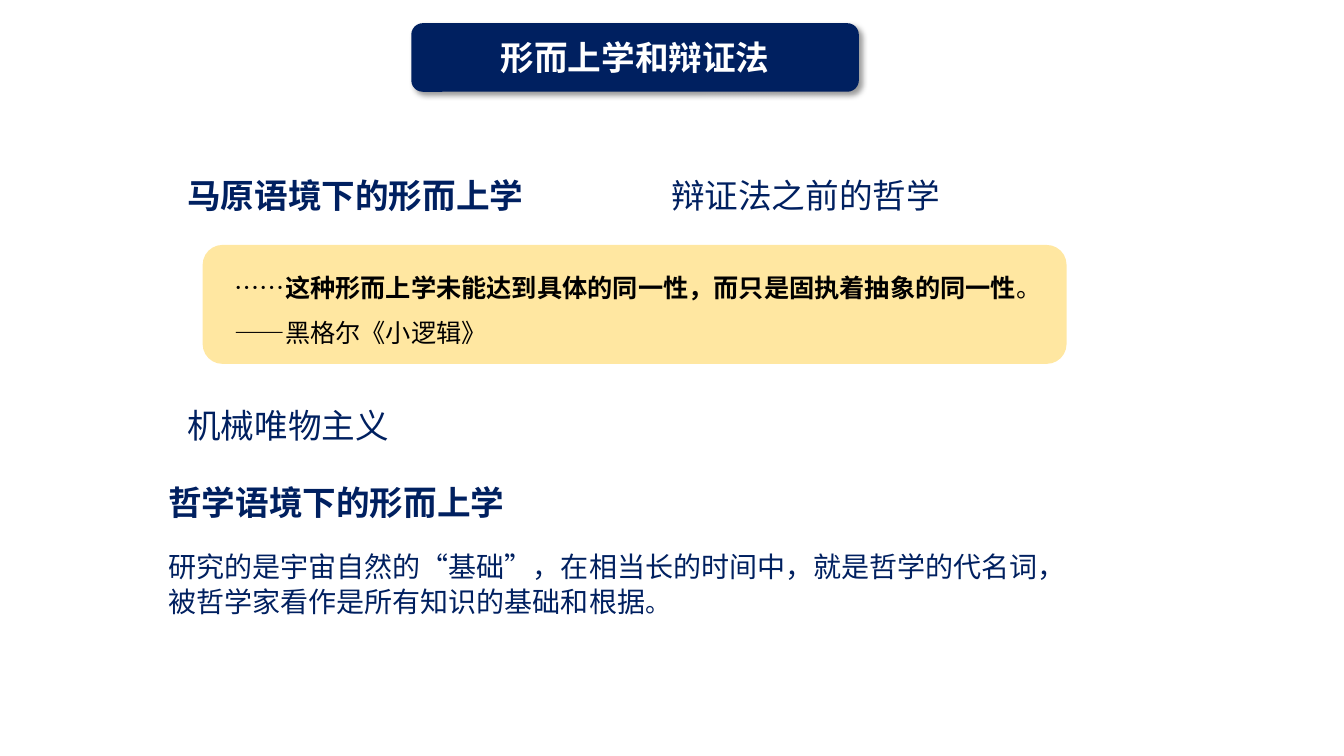
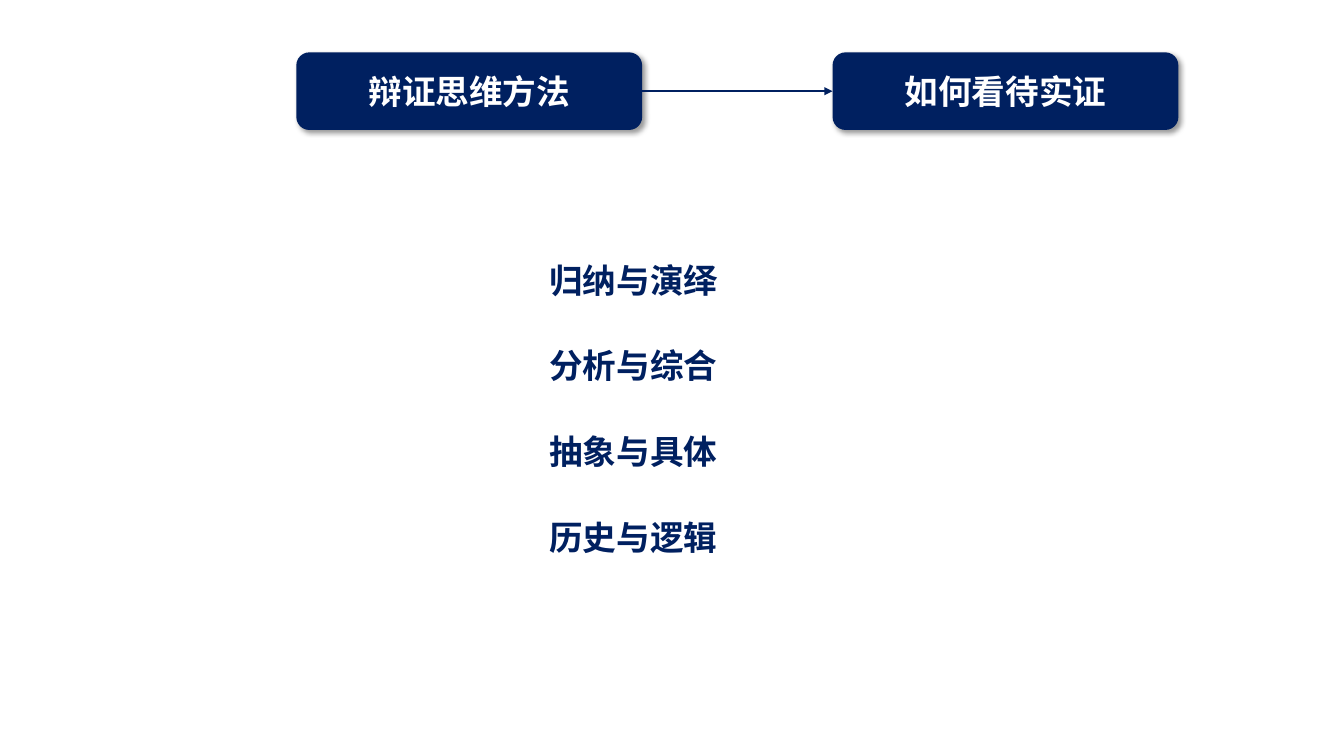
from dataclasses import dataclass
from typing import NamedTuple

from lxml import etree
from pptx import Presentation
from pptx.dml.color import RGBColor
from pptx.enum.lang import MSO_LANGUAGE_ID
from pptx.enum.shapes import MSO_CONNECTOR, MSO_SHAPE
from pptx.enum.text import MSO_ANCHOR, MSO_AUTO_SIZE, PP_ALIGN
from pptx.oxml.ns import qn
from pptx.util import Inches, Length, Pt

ROUNDED = MSO_SHAPE.ROUNDED_RECTANGLE
STRAIGHT = MSO_CONNECTOR.STRAIGHT
TOP, MIDDLE = MSO_ANCHOR.TOP, MSO_ANCHOR.MIDDLE
LEFT, CENTER, JUSTIFY = PP_ALIGN.LEFT, PP_ALIGN.CENTER, PP_ALIGN.JUSTIFY
CHINESE = MSO_LANGUAGE_ID.SIMPLIFIED_CHINESE
SIDE_LEFT, SIDE_RIGHT = 1, 3
TITLE_ONLY = 5
WIDTH, HEIGHT = Inches(13.33), Inches(7.5)


@dataclass(frozen=True)
class Theme:
    navy: RGBColor = RGBColor(0x00, 0x20, 0x60)
    amber: RGBColor = RGBColor(0xFF, 0xC0, 0x00)
    white: RGBColor = RGBColor(0xFF, 0xFF, 0xFF)
    black: RGBColor = RGBColor(0x00, 0x00, 0x00)
    cjk: str = "Noto Sans CJK SC"
    latin: str = "Arial"
    heading: int = 24
    body: int = 20
    quote: int = 18


T = Theme()


class Box(NamedTuple):
    """Left, top, width and height in percent of the slide."""
    x: float
    y: float
    w: float
    h: float

    def emu(self) -> tuple[int, ...]:
        sides = (WIDTH, HEIGHT, WIDTH, HEIGHT)
        return tuple(round(side * share / 100) for side, share in zip(sides, self))


class Run(NamedTuple):
    text: str
    size: int = T.heading
    bold: bool = False
    color: RGBColor = T.navy
    font: str = T.cjk


@dataclass(frozen=True)
class Para:
    """One paragraph and the way its frame is set."""
    runs: tuple[Run, ...]
    align: PP_ALIGN = LEFT
    spacing: float | Length = 1.0
    anchor: MSO_ANCHOR = TOP
    wrap: bool = True
    inset: tuple[float, float] = (0.1, 0.05)


def write(sp, para: Para) -> None:
    tf = sp.text_frame
    tf.auto_size = MSO_AUTO_SIZE.NONE
    tf.word_wrap = para.wrap
    tf.vertical_anchor = para.anchor
    tf.margin_left = tf.margin_right = Inches(para.inset[0])
    tf.margin_top = tf.margin_bottom = Inches(para.inset[1])
    p = tf.paragraphs[0]
    p.alignment, p.line_spacing = para.align, para.spacing
    for run in para.runs:
        r = p.add_run()
        r.text = run.text
        font = r.font
        font.name, font.size, font.bold = run.font, Pt(run.size), run.bold
        font.color.rgb = run.color
        font.language_id = CHINESE
        ea = etree.Element(qn("a:ea"), typeface=T.cjk)
        font._element.find(qn("a:latin")).addnext(ea)


def add_text(shapes, box: Box, para: Para) -> None:
    write(shapes.add_textbox(*box.emu()), para)


def add_panel(shapes, box: Box, color: RGBColor, opacity: int = 100):
    sp = shapes.add_shape(ROUNDED, *box.emu())
    sp.shadow.inherit = False
    sp.fill.solid()
    sp.fill.fore_color.rgb = color
    sp.line.fill.background()
    if opacity < 100:
        clr = sp._element.spPr.find(".//" + qn("a:srgbClr"))
        etree.SubElement(clr, qn("a:alpha"), val=str(opacity * 1000))
    return sp


def add_banner(s, box: Box, text: str, is_title: bool = False):
    """Navy plate with a soft shadow; the title placeholder may lie on it."""
    sp = add_panel(s.shapes, box, T.navy)
    effects = sp._element.spPr.find(qn("a:effectLst"))
    shadow = etree.SubElement(effects, qn("a:outerShdw"), blurRad=str(Pt(4)),
                              dist=str(Pt(3)), dir=str(45 * 60000),
                              algn="tl", rotWithShape="0")
    clr = etree.SubElement(shadow, qn("a:srgbClr"), val=str(T.black))
    etree.SubElement(clr, qn("a:alpha"), val="40000")
    holder = sp
    if is_title:
        holder = s.shapes.title
        holder.left, holder.top, holder.width, holder.height = box.emu()
        sp._element.addnext(holder._element)
    write(holder, Para((Run(text, bold=True, color=T.white),), CENTER, anchor=MIDDLE))
    return sp


def add_arrow(s, start, end) -> None:
    line = s.shapes.add_connector(STRAIGHT, 0, 0, 0, 0)
    line.begin_connect(start, SIDE_RIGHT)
    line.end_connect(end, SIDE_LEFT)
    line.line.color.rgb = T.navy
    line.line.width = Pt(1.5)
    etree.SubElement(line.line._get_or_add_ln(), qn("a:tailEnd"), type="triangle")
    etree.SubElement(line._element.spPr, qn("a:effectLst"))


def metaphysics_slide(prs) -> None:
    s = prs.slides.add_slide(prs.slide_layouts[TITLE_ONLY])
    add_banner(s, Box(30.6, 3.07, 33.3, 9.07), "形而上学和辩证法", is_title=True)

    # Headings and short statements
    statements = (
        (Box(13.2, 21.47, 26.78, 7.2), "马原语境下的形而上学", True),
        (Box(49.2, 21.47, 21.68, 7.2), "辩证法之前的哲学", False),
        (Box(13.2, 51.87, 16.65, 7.2), "机械唯物主义", False),
        (Box(11.78, 62, 26.78, 7.2), "哲学语境下的形而上学", True),
    )
    for box, text, bold in statements:
        run = Run(text, bold=bold, font=T.latin)
        add_text(s.shapes, box, Para((run,), JUSTIFY, 1.2, wrap=False))

    # Quotation on its tinted panel
    quote = s.shapes.add_group_shape().shapes
    add_panel(quote, Box(15.08, 32.4, 64.28, 15.73), T.amber, opacity=37)
    parts = (
        ("……", False),
        ("这种形而上学未能达到具体的同一性，而只是固执着抽象的同一性", True),
        ("。——黑格尔《小逻辑》", False),
    )
    runs = tuple(Run(text, T.quote, bold, T.black) for text, bold in parts)
    add_text(quote, Box(16.73, 33.33, 61.13, 12.8), Para(runs, spacing=1.5))

    # Explanation
    runs = (
        Run("研究的是宇宙自然的“基础”，在相当长的时间中，就是哲学的代名词，"
            "被哲学家看作是所有知识的基础和根据", T.body),
        Run("。", T.quote),
    )
    add_text(s.shapes, Box(11.78, 71.87, 69.15, 10.4), Para(runs, spacing=Pt(25)))


def methods_slide(prs) -> None:
    s = prs.slides.add_slide(prs.slide_layouts[TITLE_ONLY])
    # Two linked banners
    method = add_banner(s, Box(22.05, 6.93, 25.73, 10.27), "辩证思维方法", is_title=True)
    evidence = add_banner(s, Box(61.95, 6.93, 25.73, 10.27), "如何看待实证")
    add_arrow(s, method, evidence)

    # Evenly spaced pairs of methods
    first, step = Box(40.88, 34.13, 12.9, 7.6), 11.33
    for i, pair in enumerate(("归纳与演绎", "分析与综合", "抽象与具体", "历史与逻辑")):
        para = Para((Run(pair, bold=True),), JUSTIFY, Pt(19), MIDDLE, False, (0, 0))
        add_text(s.shapes, first._replace(y=first.y + i * step), para)


def main() -> None:
    prs = Presentation()
    prs.slide_width, prs.slide_height = WIDTH, HEIGHT
    metaphysics_slide(prs)
    methods_slide(prs)
    prs.save("out.pptx")


if __name__ == "__main__":
    main()
